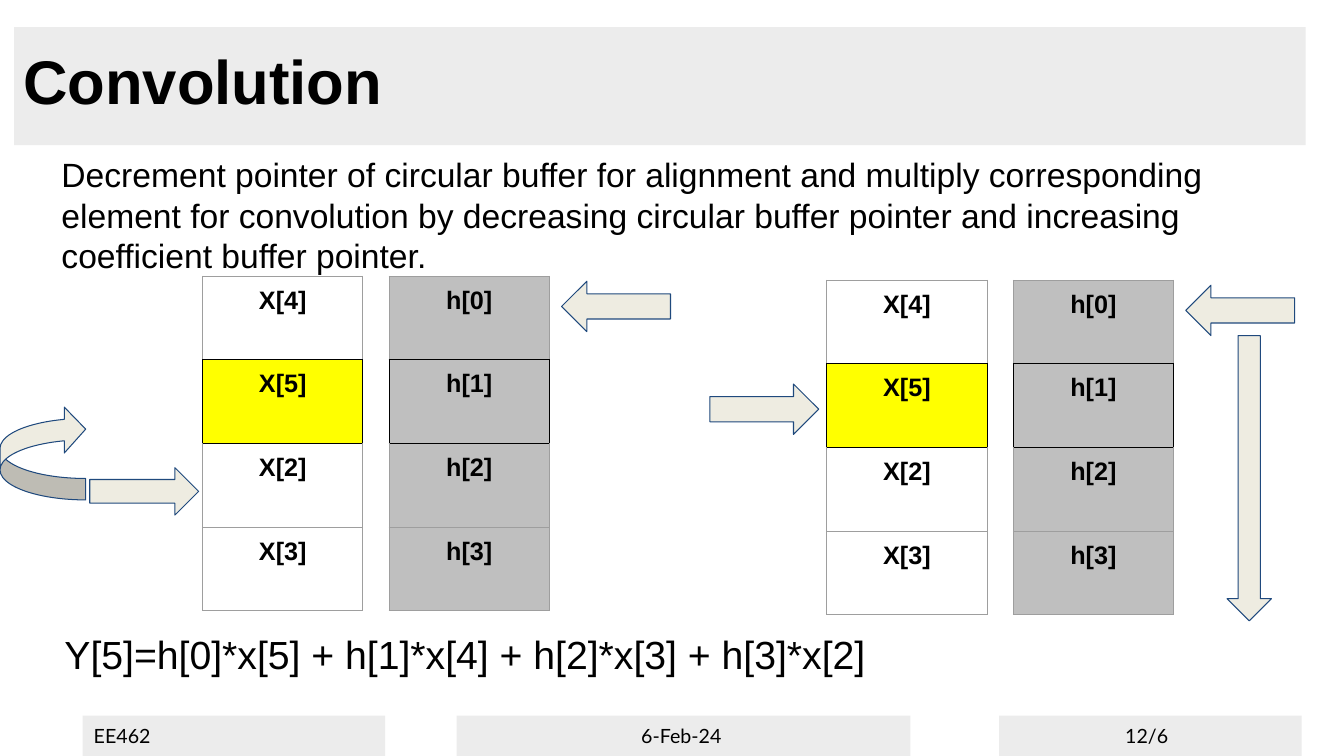
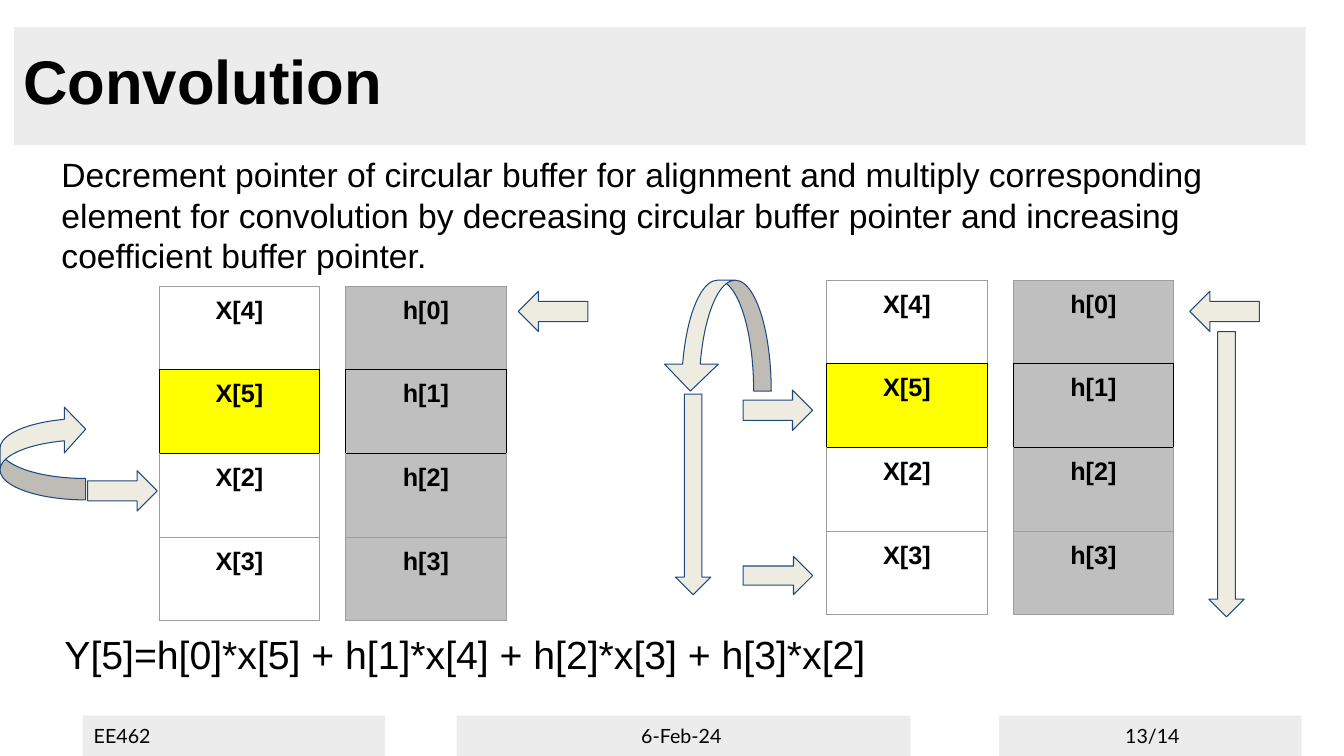
from lxml.etree import SubElement
from pptx import Presentation
from pptx.dml.color import RGBColor
from pptx.enum.shapes import MSO_SHAPE
from pptx.enum.text import MSO_ANCHOR, PP_ALIGN
from pptx.oxml.ns import qn
from pptx.util import Inches, Pt

COLORS = {
    "band": "ECECEC",
    "text": "000000",
    "grid": "9E9E9E",
    "active": "FFFF00",
    "coefficient": "BFBFBF",
    "arrow": "EEECE1",
    "outline": "1F497D",
}
CELL_W, CELL_H, COLUMN_STEP = 1.59, 0.83, 1.85
ACTIVE_ROW = 1
SAMPLES = ["X[4]", "X[5]", "X[2]", "X[3]"]
COEFFICIENTS = ["h[0]", "h[1]", "h[2]", "h[3]"]
FOOTER_BANDS = [(0.82, 3, 0.11), (4.53, 4.5, 1.83), (9.91, 3, 1.25)]
BODY = (
    "Decrement pointer of circular buffer for alignment and multiply "
    "corresponding element for convolution by decreasing circular buffer "
    "pointer and increasing coefficient buffer pointer."
)
FORMULA = "Y[5]=h[0]*x[5] + h[1]*x[4] + h[2]*x[3] + h[3]*x[2]"

LEFT, RIGHT, DOWN = MSO_SHAPE.LEFT_ARROW, MSO_SHAPE.RIGHT_ARROW, MSO_SHAPE.DOWN_ARROW
TURN_UP, TURN_DOWN = MSO_SHAPE.CURVED_RIGHT_ARROW, MSO_SHAPE.CURVED_DOWN_ARROW
FLIPS = {TURN_UP: "flipV", TURN_DOWN: "flipH"}
BENDS = {TURN_UP: (0.25, 0.536, 0.25), TURN_DOWN: (0.163, 0.5, 0.25)}


def rgb(name):
    return RGBColor.from_string(COLORS[name])


def inches(*lengths):
    return [Inches(length) for length in lengths]


def write(tf, text, size, font="Arial", bold=False, align=PP_ALIGN.LEFT):
    tf.text = text
    p = tf.paragraphs[0]
    p.alignment = align
    r = p.runs[0]
    r.font.size, r.font.name, r.font.bold = Pt(size), font, bold
    r.font.color.rgb = rgb("text")
    return p


def set_margins(target, left, top, right, bottom):
    target.margin_left, target.margin_top = inches(left, top)
    target.margin_right, target.margin_bottom = inches(right, bottom)


def add_band(s, box, text, size, font, bold, anchor, left, top=0):
    sp = s.shapes.add_shape(MSO_SHAPE.RECTANGLE, *inches(*box))
    sp.shadow.inherit = False
    sp.fill.solid()
    sp.fill.fore_color.rgb = rgb("band")
    sp.line.fill.background()
    tf = sp.text_frame
    tf.vertical_anchor = anchor
    set_margins(tf, left, top, 0, 0)
    write(tf, text, size, font, bold)


def add_text(s, box, text, size, margins, spacing=1.0):
    tf = s.shapes.add_textbox(*inches(*box)).text_frame
    tf.word_wrap = True
    set_margins(tf, *margins)
    write(tf, text, size).line_spacing = spacing


def add_frame(s, page):
    add_band(s, (0.14, 0.27, 12.81, 1.17), "Convolution", 44, "Arial", True,
             MSO_ANCHOR.TOP, 0.09, 0.16)
    for (x, w, inset), text in zip(FOOTER_BANDS, ["EE462", "6-Feb-24", page]):
        add_band(s, (x, 7.1, w, 0.4), text, 14, "Lato", False,
                 MSO_ANCHOR.MIDDLE, inset)


def add_border(cell, side, color):
    ln = SubElement(cell._tc.get_or_add_tcPr(), qn(f"a:ln{side}"), w=str(Pt(0.75)))
    fill = SubElement(ln, qn("a:solidFill"))
    SubElement(fill, qn("a:srgbClr"), val=COLORS[color])


def add_buffer(s, x, y, labels, fill, active_fill):
    rows = len(labels)
    box = inches(x, y, CELL_W, CELL_H * rows)
    table = s.shapes.add_table(rows, 1, *box).table
    table.first_row = table.horz_banding = False
    for i, label in enumerate(labels):
        cell = table.cell(i, 0)
        set_margins(cell, 0.1, 0.1, 0.1, 0.1)
        write(cell.text_frame, label, 18, bold=True, align=PP_ALIGN.CENTER)
        dark_sides = {ACTIVE_ROW - 1: "B", ACTIVE_ROW: "LRTB", ACTIVE_ROW + 1: "T"}
        for side in "LRTB":
            dark = side in dark_sides.get(i, "")
            add_border(cell, side, "text" if dark else "grid")
        name = active_fill if i == ACTIVE_ROW else fill
        if name:
            cell.fill.solid()
            cell.fill.fore_color.rgb = rgb(name)
        else:
            cell.fill.background()


def add_arrow(s, kind, x, y, w, h):
    sp = s.shapes.add_shape(kind, *inches(x, y, w, h))
    sp.shadow.inherit = False
    sp.fill.solid()
    sp.fill.fore_color.rgb = rgb("arrow")
    sp.line.color.rgb = rgb("outline")
    sp.line.width = Pt(0.75)
    for i, value in enumerate(BENDS.get(kind, ())):
        sp.adjustments[i] = value
    if kind in FLIPS:
        sp._element.spPr.find(qn("a:xfrm")).set(FLIPS[kind], "1")


def add_buffer_pair(s, x, y, arrows):
    add_buffer(s, x, y, SAMPLES, None, "active")
    add_buffer(s, x + COLUMN_STEP, y, COEFFICIENTS, "coefficient", "coefficient")
    for kind, dx, dy, w, h in arrows:
        add_arrow(s, kind, x + dx, y + dy, w, h)


def add_convolution_slide(prs, page, pairs):
    s = prs.slides.add_slide(prs.slide_layouts[6])
    add_frame(s, page)
    for x, y, arrows in pairs:
        add_buffer_pair(s, x, y, arrows)
    add_arrow(s, TURN_UP, 0, 4.03, 0.85, 0.93)
    add_text(s, (0.6, 1.52, 12.13, 1.22), BODY, 24, (0.01, 0.01, 0, 0))
    add_text(s, (0.53, 6.09, 12.13, 0.68), FORMULA, 28, (0.11, 0.1, 0.1, 0.1), 1.14)


def main():
    prs = Presentation()
    prs.slide_width, prs.slide_height = inches(13.33, 7.5)
    long, short = (1.08, 0.5), (0.69, 0.4)
    add_convolution_slide(prs, "12/6", [
        (2.01, 2.74, [(RIGHT, -1.12, 1.9, 1.08, 0.47), (LEFT, 3.56, 0.05, *long)]),
        (8.2, 2.78, [
            (RIGHT, -1.16, 1.03, *long),
            (LEFT, 3.56, 0.05, *long),
            (DOWN, 3.97, 0.55, 0.44, 2.83),
        ]),
    ])
    add_convolution_slide(prs, "13/14", [
        (1.58, 2.84, [(RIGHT, -0.71, 1.83, *short), (LEFT, 3.56, 0.05, *short)]),
        (8.2, 2.78, [
            (DOWN, 3.79, 0.51, 0.35, 2.83),
            (LEFT, 3.6, 0.11, *short),
            (RIGHT, -0.83, 1.09, *short),
            (TURN_DOWN, -1.62, 0, 1.07, 1.1),
            (DOWN, -1.5, 1.13, 0.35, 1.99),
            (RIGHT, -0.83, 2.74, 0.69, 0.38),
        ]),
    ])
    prs.save("out.pptx")


if __name__ == "__main__":
    main()
